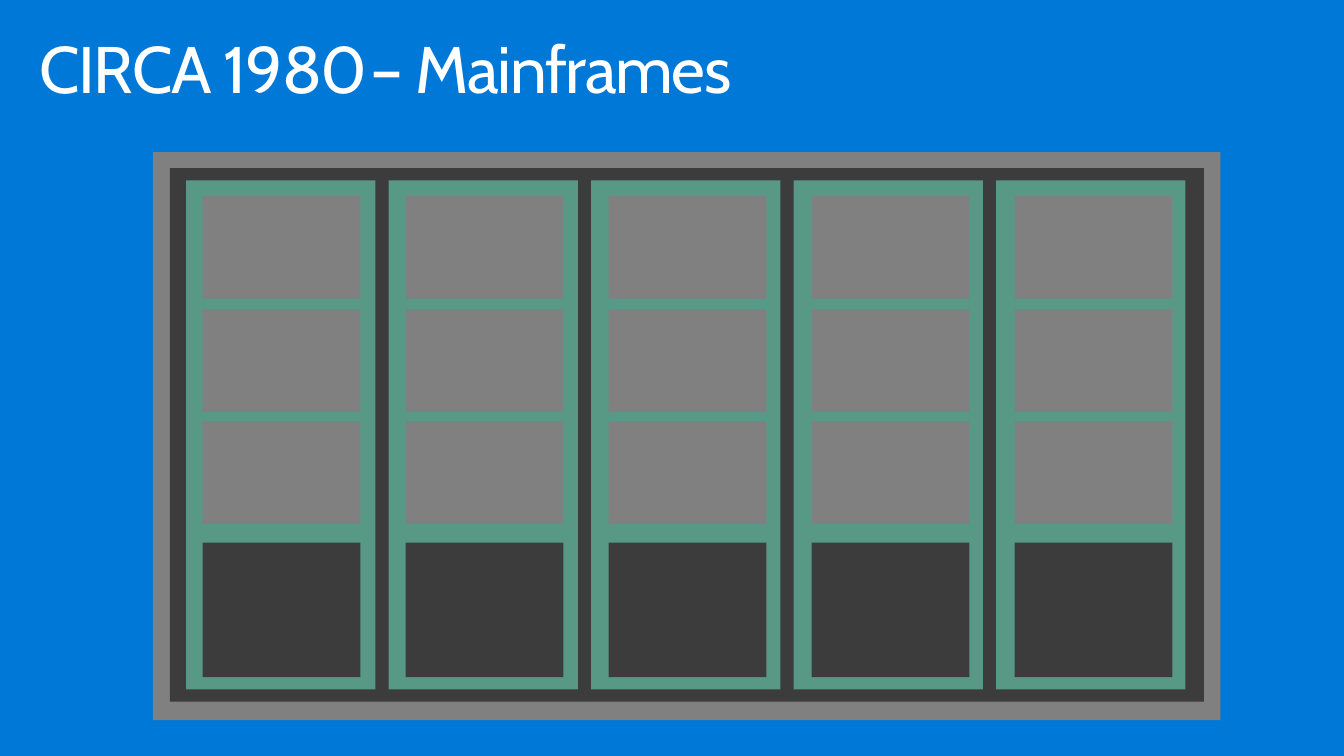
from collections import namedtuple
from dataclasses import dataclass

from pptx import Presentation
from pptx.dml.color import RGBColor
from pptx.enum import shapes, text
from pptx.util import Pt

Box = namedtuple("Box", "left top width height")


@dataclass(frozen=True)
class Theme:
    background: str = "0078D7"
    casing: str = "808080"
    dark: str = "3C3C3C"
    cabinet: str = "579985"
    heading: str = "FFFFFF"
    font: str = "Cabin"
    heading_size: int = 47
    tracking: int = -1


THEME = Theme()
PAGE = Box(0, 0, 960, 540)
YEAR = Box(20.9, 22.3, 918, 70.6)
TOPIC = Box(257.8, 22.3, 504.7, 58.3)
MAINFRAME = Box(109.3, 108.6, 762.4, 405.9)

CABINETS = 5
CABINET_PITCH = 144.65
BAY_PITCH = 145
DRIVE_TOPS = (31.2, 112.3, 192.2)


def place(shape, box):
    for name, value in box._asdict().items():
        setattr(shape, name, Pt(value))


def write_heading(shape, box, wording):
    """Set the heading at its box, with tight tracking and no pair kerning."""
    place(shape, box)
    frame = shape.text_frame
    frame_format = dict(
        word_wrap=True,
        auto_size=text.MSO_AUTO_SIZE.NONE,
        vertical_anchor=text.MSO_ANCHOR.TOP,
        margin_left=Pt(7.2), margin_right=Pt(7.2),
        margin_top=Pt(3.6), margin_bottom=Pt(3.6),
    )
    for name, value in frame_format.items():
        setattr(frame, name, value)

    para = frame.paragraphs[0]
    para.alignment = text.PP_ALIGN.LEFT
    para.line_spacing = 0.9
    span = para.add_run()
    span.text = wording
    font_format = dict(name=THEME.font, size=Pt(THEME.heading_size), bold=False)
    for name, value in font_format.items():
        setattr(span.font, name, value)
    span.font.color.rgb = RGBColor.from_string(THEME.heading)
    run_format = dict(kern="0", spc=str(THEME.tracking * 100))
    for name, value in run_format.items():
        span._r.get_or_add_rPr().set(name, value)


def add_panel(group, box, color):
    panel = group.shapes.add_shape(
        shapes.MSO_SHAPE.RECTANGLE, *(Pt(length) for length in box))
    panel.shadow.inherit = False
    panel.fill.solid()
    panel.fill.fore_color.rgb = RGBColor.from_string(color)
    panel.line.fill.background()


def draw_mainframe(page, box):
    """Draw the casing, its row of cabinets, and the bays inside each one."""
    group = page.shapes.add_group_shape()
    left, top = box.left, box.top
    add_panel(group, box, THEME.casing)
    add_panel(group, Box(left + 12, top + 11.5, 738.6, 381), THEME.dark)

    for column in range(CABINETS):
        cabinet_left = left + 23.6 + column * CABINET_PITCH
        add_panel(group, Box(cabinet_left, top + 20.2, 135.2, 363.6), THEME.cabinet)

        bay_left = left + 35.5 + column * BAY_PITCH
        add_panel(group, Box(bay_left, top + 279, 112.7, 96), THEME.dark)
        for drive_top in DRIVE_TOPS:
            add_panel(group, Box(bay_left, top + drive_top, 112.7, 73.6), THEME.casing)


def build_slide(deck):
    page = deck.slides.add_slide(deck.slide_layouts[5])
    page.background.fill.solid()
    page.background.fill.fore_color.rgb = RGBColor.from_string(THEME.background)
    write_heading(page.shapes.title, YEAR, "CIRCA 1980")
    topic = page.shapes.add_textbox(*(Pt(length) for length in TOPIC))
    write_heading(topic, TOPIC, "– Mainframes")
    draw_mainframe(page, MAINFRAME)


def main():
    deck = Presentation()
    deck.slide_width, deck.slide_height = Pt(PAGE.width), Pt(PAGE.height)
    build_slide(deck)
    deck.save("out.pptx")


if __name__ == "__main__":
    main()
